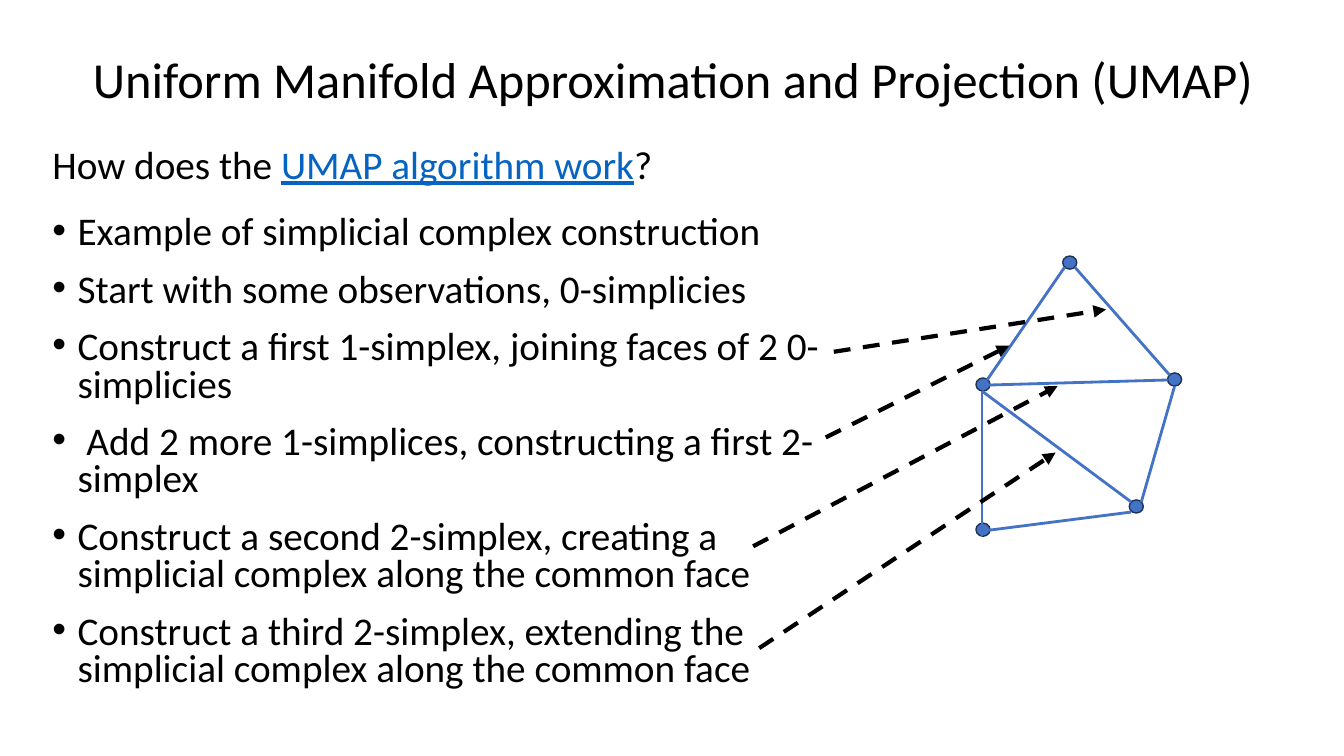
from pptx import Presentation
from pptx.dml.color import RGBColor
from pptx.enum.dml import MSO_LINE
from pptx.enum.shapes import MSO_CONNECTOR, MSO_SHAPE
from pptx.enum.text import MSO_ANCHOR, MSO_AUTO_SIZE, PP_ALIGN
from pptx.util import Inches, Pt
from lxml import etree
from pptx.oxml.ns import qn

LINE = MSO_CONNECTOR.STRAIGHT
OVAL = MSO_SHAPE.OVAL
DASH = MSO_LINE.DASH
LEFT = PP_ALIGN.LEFT
TOP, MID = MSO_ANCHOR.TOP, MSO_ANCHOR.MIDDLE
FIXED = MSO_AUTO_SIZE.NONE
COLORS = {"text": "000000", "link": "0563C1", "blue": "4472C4", "navy": "1E3256"}


def add_run(para, text, size, color="text"):
    run = para.add_run()
    run.text = text
    run.font.name = "Calibri"
    run.font.size = Pt(size)
    run.font.color.rgb = RGBColor.from_string(COLORS[color])
    return run


def add_line(ends, color, width):
    line = slide.shapes.add_connector(LINE, *[Inches(v) for v in ends])
    line.line.color.rgb = RGBColor.from_string(COLORS[color])
    line.line.width = Pt(width)
    etree.SubElement(line._element.spPr, qn("a:effectLst"))
    return line


prs = Presentation()
prs.slide_width, prs.slide_height = Inches(13.33), Inches(7.5)
slide = prs.slides.add_slide(prs.slide_layouts[3])
title, ask, steps = slide.placeholders

for holder, box, anchor in [
    (title, (0.82, 0.45, 11.92, 0.73), MID),
    (ask, (0.42, 1.39, 12.6, 0.62), TOP),
    (steps, (0.42, 2.09, 8.24, 5.25), TOP),
]:
    holder.left, holder.top, holder.width, holder.height = [Inches(v) for v in box]
    frame = holder.text_frame
    frame.word_wrap = True
    frame.auto_size = FIXED
    frame.vertical_anchor = anchor

para = title.text_frame.paragraphs[0]
para.alignment = LEFT
para.line_spacing = 0.9
add_run(para, "Uniform Manifold Approximation and Projection (UMAP)", 36)

para = ask.text_frame.paragraphs[0]
props = para._p.get_or_add_pPr()
props.set("marL", "0")
props.set("indent", "0")
etree.SubElement(props, qn("a:buNone"))
para.line_spacing = 0.9
para.space_before = Pt(0)
add_run(para, "How does the ", 28)
add_run(para, "UMAP algorithm work", 28, "link").font.underline = True
add_run(para, "?", 28)

items = [
    "Example of simplicial complex construction",
    "Start with some observations, 0-simplicies",
    "Construct a first 1-simplex, joining faces of 2 0-simplicies",
    " Add 2 more 1-simplices, constructing a first 2-simplex",
    "Construct a second 2-simplex, creating a simplicial complex along the common face",
    "Construct a third 2-simplex, extending the simplicial complex along the common face",
]
frame = steps.text_frame
for i, item in enumerate(items):
    para = frame.add_paragraph() if i else frame.paragraphs[0]
    props = para._p.get_or_add_pPr()
    props.set("marL", str(Inches(0.25)))
    props.set("indent", str(Inches(-0.25)))
    etree.SubElement(props, qn("a:buFont"), typeface="Arial")
    etree.SubElement(props, qn("a:buChar"), char="•")
    para.line_spacing = 0.8
    para.space_before = Pt(14 if i else 0)
    add_run(para, item, 28)

for x, y in [(9.68, 3.75), (10.54, 2.54), (11.58, 3.7), (11.2, 4.96), (9.68, 5.19)]:
    dot = slide.shapes.add_shape(OVAL, Inches(x), Inches(y), Inches(0.14), Inches(0.13))
    dot.shadow.inherit = False
    dot.fill.solid()
    dot.fill.fore_color.rgb = RGBColor.from_string(COLORS["blue"])
    dot.line.color.rgb = RGBColor.from_string(COLORS["navy"])
    dot.line.width = Pt(1)

edges = [
    (9.79, 3.77, 10.56, 2.65),
    (9.74, 3.88, 11.22, 4.98),
    (9.81, 3.82, 11.58, 3.77),
    (11.6, 3.72, 10.66, 2.65),
    (11.65, 3.83, 11.32, 4.98),
    (9.74, 3.88, 9.74, 5.32),
    (11.22, 5.08, 9.81, 5.26),
]
for edge in edges:
    add_line(edge, "blue", 2)

arrows = [
    (7.47, 5.42, 10.49, 3.83),
    (7.53, 6.43, 10.47, 4.49),
    (8.27, 3.49, 10.97, 3.07),
    (8.19, 4.34, 10.01, 3.43),
]
for ends in arrows:
    arrow = add_line(ends, "text", 3)
    arrow.line.dash_style = DASH
    etree.SubElement(arrow.line._get_or_add_ln(), qn("a:tailEnd"), type="triangle")

prs.save("out.pptx")
